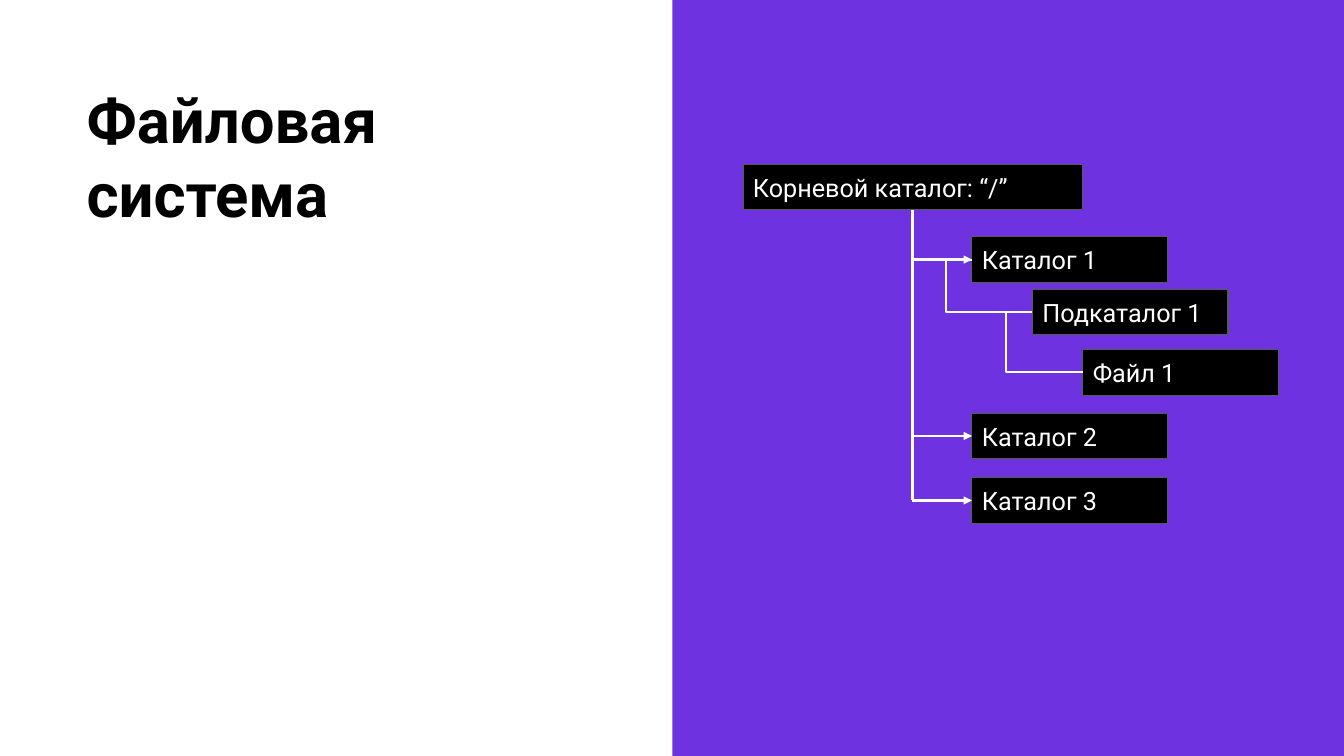
from lxml import etree
from pptx import Presentation
from pptx.dml.color import RGBColor
from pptx.enum.shapes import MSO_CONNECTOR, MSO_SHAPE
from pptx.enum.text import MSO_ANCHOR, PP_ALIGN
from pptx.oxml.ns import qn
from pptx.util import Inches, Pt

RECT = MSO_SHAPE.RECTANGLE
STRAIGHT, ELBOW = MSO_CONNECTOR.STRAIGHT, MSO_CONNECTOR.ELBOW
MIDDLE, LEFT = MSO_ANCHOR.MIDDLE, PP_ALIGN.LEFT

WHITE = RGBColor(0xFF, 0xFF, 0xFF)
BLACK = RGBColor(0x00, 0x00, 0x00)
GRAY = RGBColor(0x59, 0x59, 0x59)
VIOLET = RGBColor(0x6E, 0x32, 0xE0)

FONT = "Roboto"
NODE_H = 0.45
NODE_W = 1.94
ROOT_W = 3.37
ELBOW_OUT = 0.26
TRUNK_X = 2.38

ROOT = ("Корневой каталог: “/”", 0.7, 1.63, ROOT_W)
BRANCH = [
    ("Каталог 1", 2.97, 2.35, NODE_W),
    ("Подкаталог 1", 3.57, 2.87, NODE_W),
    ("Файл 1", 4.07, 3.47, NODE_W),
]
SIBLINGS = [
    ("Каталог 2", 2.97, 4.1, NODE_W),
    ("Каталог 3", 2.97, 4.74, NODE_W),
]


def add_rect(s, x, y, w, h, color):
    sp = s.shapes.add_shape(RECT, Inches(x), Inches(y), Inches(w), Inches(h))
    sp.shadow.inherit = False
    sp.fill.solid()
    sp.fill.fore_color.rgb = color
    sp.line.fill.background()
    return sp


def add_text(tf, text, size, color, bold=False):
    tf.word_wrap = True
    p = tf.paragraphs[0]
    p.alignment = LEFT
    r = p.add_run()
    r.text = text
    r.font.name = FONT
    r.font.size = Pt(size)
    r.font.bold = bold
    r.font.color.rgb = color


def add_node(s, left, top, node):
    text, x, y, w = node
    sp = add_rect(s, left + x, top + y, w, NODE_H, BLACK)
    sp.line.color.rgb = GRAY
    sp.line.width = Pt(0.75)
    tf = sp.text_frame
    tf.vertical_anchor = MIDDLE
    tf.margin_left = tf.margin_right = Inches(0.1)
    tf.margin_top = tf.margin_bottom = Inches(0.1)
    add_text(tf, text, 18, WHITE)


def left_middle(node):
    return node[1], node[2] + NODE_H / 2


def add_line(s, left, top, start, end, kind=STRAIGHT, arrow=False):
    (x1, y1), (x2, y2) = start, end
    line = s.shapes.add_connector(
        kind, Inches(left + x1), Inches(top + y1), Inches(left + x2), Inches(top + y2))
    line.line.color.rgb = WHITE
    line.line.width = Pt(1.5)
    sp_pr = line._element.spPr
    etree.SubElement(sp_pr, qn("a:effectLst"))
    if arrow:
        etree.SubElement(sp_pr.find(qn("a:ln")), qn("a:tailEnd"), type="triangle")
    return line


def add_elbow(s, left, top, parent, child):
    start, end = left_middle(parent), left_middle(child)
    line = add_line(s, left, top, start, end, ELBOW)
    bend = round(-ELBOW_OUT / (end[0] - start[0]) * 100000)
    guides = line._element.spPr.find(qn("a:prstGeom")).find(qn("a:avLst"))
    etree.SubElement(guides, qn("a:gd"), name="adj1", fmla=f"val {bend}")


def add_title(s, x, y, w, h):
    tf = s.shapes.add_textbox(Inches(x), Inches(y), Inches(w), Inches(h)).text_frame
    add_text(tf, "Файловая система", 44, BLACK, bold=True)


def add_tree(s, left, top, w, h):
    add_rect(s, left, top, w, h, VIOLET)
    for node in [ROOT, *BRANCH, *SIBLINGS]:
        add_node(s, left, top, node)
    trunk_end = (TRUNK_X, left_middle(SIBLINGS[-1])[1])
    add_line(s, left, top, (TRUNK_X, ROOT[2] + NODE_H), trunk_end)
    for parent, child in zip(BRANCH, BRANCH[1:]):
        add_elbow(s, left, top, parent, child)
    for node in [BRANCH[0], *SIBLINGS]:
        x, y = left_middle(node)
        add_line(s, left, top, (TRUNK_X, y), (x, y), arrow=True)


def main():
    prs = Presentation()
    prs.slide_width = Inches(13.33)
    prs.slide_height = Inches(7.5)
    s = prs.slides.add_slide(prs.slide_layouts[6])
    add_tree(s, 6.67, 0, 6.66, 7.5)
    add_title(s, 0.76, 0.76, 5.12, 5.92)
    prs.save("out.pptx")


if __name__ == "__main__":
    main()
